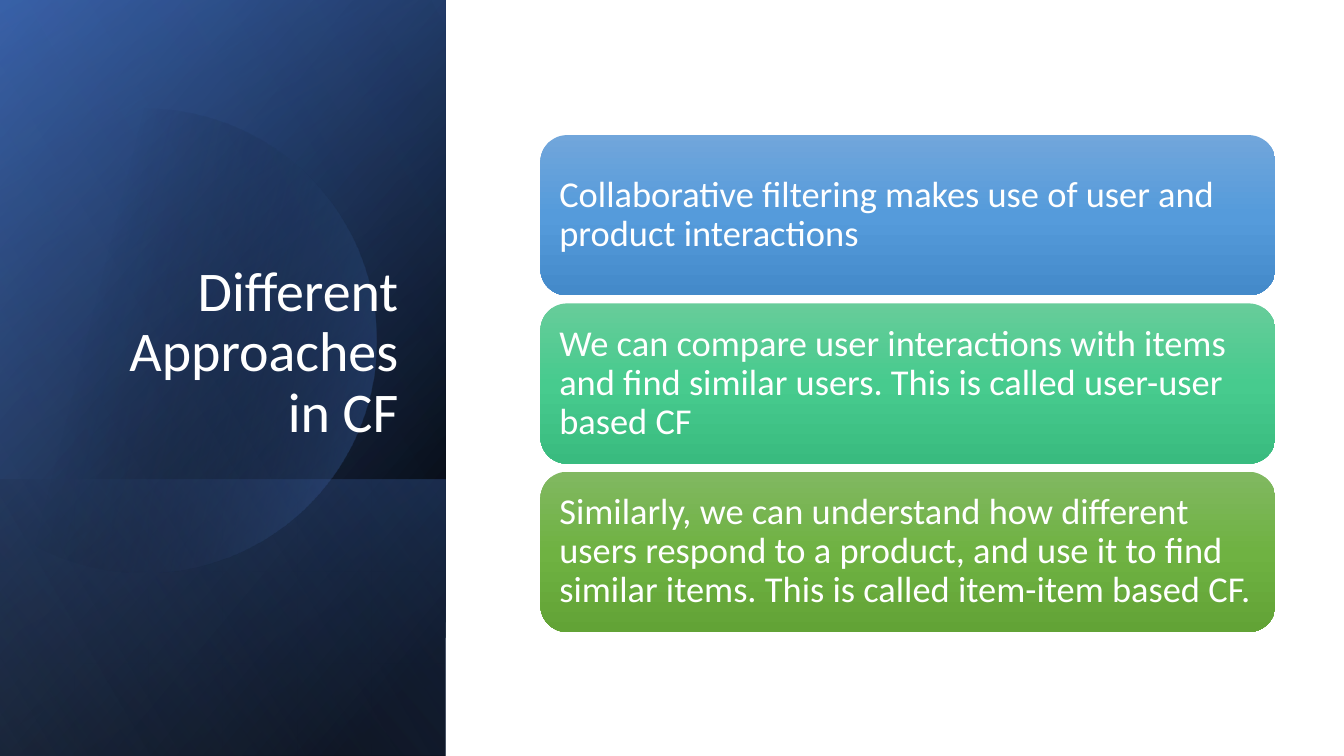
import math

from lxml import etree
from pptx import Presentation
from pptx.dml.color import RGBColor
from pptx.enum import shapes, text
from pptx.oxml.ns import qn
from pptx.util import Inches, Pt

BLACK = RGBColor(0x00, 0x00, 0x00)
WHITE = RGBColor(0xFF, 0xFF, 0xFF)
NAVY = RGBColor(0x2F, 0x55, 0x97)
BLUE = RGBColor(0x44, 0x72, 0xC4)
PALE = RGBColor(0x8F, 0xAA, 0xDC)
SKY = [RGBColor(0x71, 0xA6, 0xDB), RGBColor(0x55, 0x9B, 0xDB), RGBColor(0x44, 0x8A, 0xCA)]
MINT = [RGBColor(0x67, 0xCC, 0x9A), RGBColor(0x47, 0xCB, 0x8E), RGBColor(0x39, 0xBB, 0x7F)]
LEAF = [RGBColor(0x81, 0xB8, 0x61), RGBColor(0x6F, 0xB2, 0x42), RGBColor(0x62, 0xA3, 0x36)]
FONT = "Calibri"

CARDS = [
    (SKY, "Collaborative filtering makes use of user and product interactions"),
    (MINT, "We can compare user interactions with items and find similar users. "
           "This is called user-user based CF"),
    (LEAF, "Similarly, we can understand how different users respond to a product, "
           "and use it to find similar items. This is called item-item based CF."),
]


def shade(shape, angle, stops):
    """Fill with a linear gradient of (position, colour, opacity) stops, all in percent."""
    shape.shadow.inherit = False
    shape.line.fill.background()
    shape.fill.gradient()
    grad = shape._element.spPr.find(qn("a:gradFill"))
    grad.set("rotWithShape", "1")
    for child in list(grad):
        grad.remove(child)
    group = etree.SubElement(grad, qn("a:gsLst"))
    for pos, color, alpha in stops:
        stop = etree.SubElement(group, qn("a:gs"), pos=str(pos * 1000))
        tone = etree.SubElement(stop, qn("a:srgbClr"), val=str(color))
        etree.SubElement(tone, qn("a:alpha"), val=str(alpha * 1000))
    etree.SubElement(grad, qn("a:lin"), ang=str(angle * 60000), scaled="0")


def add_panel(slide, box, angle, stops):
    """Cover the box with a mirrored rectangle turned by a quarter."""
    left, top, width, height = box
    shift = (height - width) / 2
    panel = slide.shapes.add_shape(
        shapes.MSO_SHAPE.RECTANGLE, Inches(left - shift), Inches(top + shift),
        Inches(height), Inches(width))
    panel.rotation = 90
    panel._element.spPr.find(qn("a:xfrm")).set("flipH", "1")
    shade(panel, angle, stops)


def add_disc(slide, box, radius, angle, stops):
    """Draw a disc cut off by the left edge of the box."""
    left, top, width, height = box
    x, y = left + 1.43, top + 3.38
    limit = math.acos((left - x) / radius)
    count = 120
    turns = [limit * (2 * i / count - 1) for i in range(count + 1)]
    points = [(Inches(x + radius * math.cos(a)), Inches(y + radius * math.sin(a)))
              for a in turns]
    form = slide.shapes.build_freeform(*points[0])
    form.add_line_segments(points[1:], close=True)
    shade(form.convert_to_shape(), angle, stops)


def add_side(slide, box):
    left, top, width, height = box
    foot = (left, top + height - 2.74, width, 2.74)
    # Layered gradients
    add_panel(slide, box, 50, [(8, BLACK, 100), (100, NAVY, 100)])
    add_panel(slide, box, 30, [(0, BLACK, 0), (99, BLUE, 46)])
    add_panel(slide, foot, 130, [(2, BLUE, 29), (100, BLACK, 30)])
    add_disc(slide, box, 2.3, 14, [(29, BLACK, 0), (100, BLUE, 43)])
    add_panel(slide, box, 120, [(0, BLACK, 0), (99, PALE, 11)])

    # Title, brought in front of the panels
    title = slide.shapes.title
    slide.shapes._spTree.append(title._element)
    title.left, title.top = Inches(left + 0.64), Inches(top + 1.84)
    title.width, title.height = Inches(3.41), Inches(2.62)
    frame = title.text_frame
    frame.text = "Different Approaches in CF"
    frame.word_wrap = True
    frame.auto_size = text.MSO_AUTO_SIZE.NONE
    frame.vertical_anchor = text.MSO_ANCHOR.BOTTOM
    style(frame.paragraphs[0], 40, text.PP_ALIGN.RIGHT)


def style(para, size, align):
    para.alignment = align
    para.line_spacing = 0.9
    para.font.name = FONT
    para.font.size = Pt(size)
    para.font.color.rgb = WHITE


def add_cards(slide, box):
    left, top, width, height = box
    gap = 0.08
    tall = (height - gap * (len(CARDS) - 1)) / len(CARDS)
    for i, (tones, words) in enumerate(CARDS):
        card = slide.shapes.add_shape(
            shapes.MSO_SHAPE.ROUNDED_RECTANGLE, Inches(left),
            Inches(top + i * (tall + gap)), Inches(width), Inches(tall))
        shade(card, 90, [(50 * n, tone, 100) for n, tone in enumerate(tones)])
        frame = card.text_frame
        frame.word_wrap = True
        frame.vertical_anchor = text.MSO_ANCHOR.MIDDLE
        # The rounded corners already inset the text by 0.08
        frame.margin_left = frame.margin_right = Inches(0.11)
        frame.text = words
        style(frame.paragraphs[0], 26, text.PP_ALIGN.LEFT)


def main():
    deck = Presentation()
    deck.slide_width, deck.slide_height = Inches(13.33), Inches(7.5)
    slide = deck.slides.add_slide(deck.slide_layouts[5])
    add_side(slide, (0, 0, 4.42, 7.5))
    add_cards(slide, (5.36, 1.34, 7.29, 4.93))
    deck.save("out.pptx")


if __name__ == "__main__":
    main()
